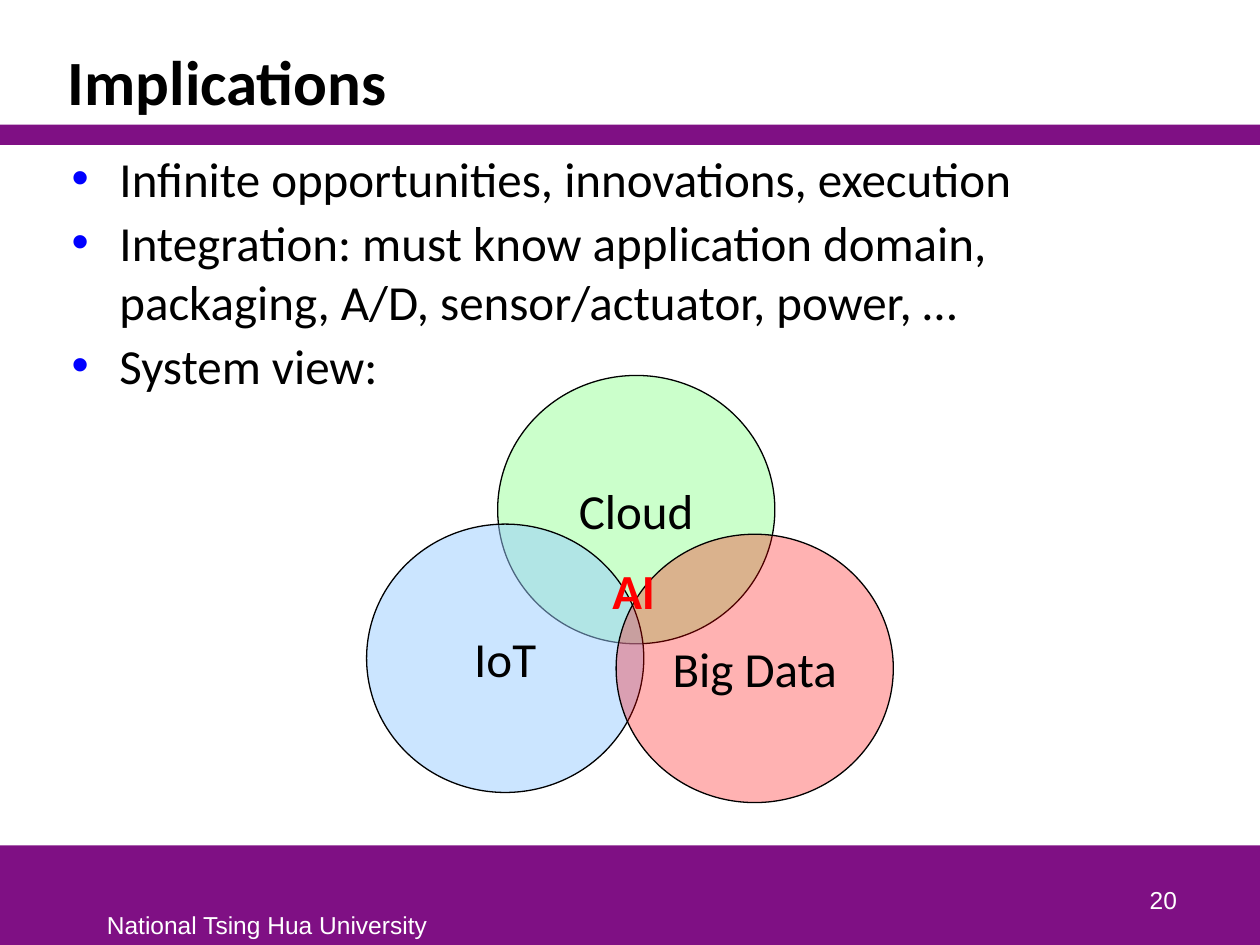
from lxml import etree
from pptx import Presentation
from pptx.dml.color import RGBColor
from pptx.enum.shapes import MSO_SHAPE as SHAPE
from pptx.enum.text import MSO_ANCHOR as ANCHOR, PP_ALIGN as ALIGN
from pptx.oxml.ns import qn
from pptx.util import Inches, Pt

PURPLE = RGBColor(0x7F, 0x10, 0x84)
WHITE = RGBColor(0xFF, 0xFF, 0xFF)
BLACK = RGBColor(0, 0, 0)
RED = RGBColor(0xFF, 0, 0)
BLUE = RGBColor(0, 0, 0xFF)
GREEN = RGBColor(0x99, 0xFF, 0x99)
SKY = RGBColor(0x99, 0xCC, 0xFF)


def write(tf, text, size=28, font="Calibri", color=BLACK, bold=False,
          align=ALIGN.LEFT, anchor=ANCHOR.TOP, wrap=True, spacing=None):
    tf.word_wrap = wrap
    tf.vertical_anchor = anchor
    for i, line in enumerate(text.split("\n")):
        p = tf.paragraphs[0] if i == 0 else tf.add_paragraph()
        p.alignment = align
        p.line_spacing = spacing
        r = p.add_run()
        r.text = line
        r.font.size = Pt(size)
        r.font.name = font
        r.font.bold = bold
        r.font.color.rgb = color


def add_text(shapes, box, text, **style):
    tf = shapes.add_textbox(*map(Inches, box)).text_frame
    write(tf, text, **style)
    return tf


def add_filled(shapes, kind, box, color):
    s = shapes.add_shape(kind, *map(Inches, box))
    s.shadow.inherit = False
    s.fill.solid()
    s.fill.fore_color.rgb = color
    s.line.fill.background()
    return s


def add_bullet(p):
    p.space_before = Pt(3)
    pPr = p._p.get_or_add_pPr()
    pPr.set("marL", str(Inches(0.38)))
    pPr.set("indent", str(-Inches(0.38)))
    clr = etree.SubElement(pPr, qn("a:buClr"))
    etree.SubElement(clr, qn("a:srgbClr"), val=str(BLUE))
    etree.SubElement(pPr, qn("a:buFont"), typeface="Arial")
    etree.SubElement(pPr, qn("a:buChar"), char="•")


def add_header(shapes, x, y, w, h):
    add_filled(shapes, SHAPE.RECTANGLE, (x, y + h - 0.16, w, 0.16), PURPLE)
    add_text(shapes, (x + 0.44, y, w - 0.88, h - 0.16), "Implications", size=36,
             bold=True, anchor=ANCHOR.BOTTOM, spacing=0.85)


def add_body(shapes, *box):
    tf = add_text(shapes, box,
                  "Infinite opportunities, innovations, execution\n"
                  "Integration: must know application domain, packaging, A/D, "
                  "sensor/actuator, power, …\n"
                  "System view:")
    for p in tf.paragraphs:
        add_bullet(p)


def add_venn(shapes, x, y, w, h):
    group = shapes.add_group_shape().shapes
    cw, ch = 2.2, 2.13
    circles = [
        ("Cloud", x + 1.04, y, GREEN, 50),
        ("IoT", x, y + 1.18, SKY, 50),
        ("Big Data", x + w - cw, y + h - ch, RED, 30),
    ]
    for label, left, top, color, opacity in circles:
        s = add_filled(group, SHAPE.OVAL, (left, top, cw, ch), color)
        clr = s.fill._xPr.find(qn("a:solidFill"))[0]
        etree.SubElement(clr, qn("a:alpha"), val=str(opacity * 1000))
        s.line.color.rgb = BLACK
        s.line.width = Pt(0.75)
        tf = s.text_frame
        tf.margin_left = tf.margin_right = tf.margin_top = tf.margin_bottom = 0
        write(tf, label, align=ALIGN.CENTER, anchor=ANCHOR.MIDDLE)
    add_text(group, (x + 1.67, y + 1.42, 0.9, 0.57), "AI", color=RED, bold=True,
             align=ALIGN.CENTER)


def add_footer(shapes, x, y, w, h):
    add_filled(shapes, SHAPE.RECTANGLE, (x, y, w, h), PURPLE)
    style = dict(size=14, font="Arial", color=WHITE)
    add_text(shapes, (x + 0.75, y + 0.46, 2.76, 0.33),
             "National Tsing Hua University", wrap=False, **style)
    add_text(shapes, (x + w - 2.64, y + 0.1, 2.08, 0.5), "20",
             align=ALIGN.RIGHT, anchor=ANCHOR.BOTTOM, **style)


def main():
    prs = Presentation()
    prs.slide_width, prs.slide_height = Inches(10), Inches(7.5)
    shapes = prs.slides.add_slide(prs.slide_layouts[6]).shapes
    add_footer(shapes, 0, 6.71, 10, 0.79)
    add_header(shapes, 0, 0.25, 10, 0.9)
    add_body(shapes, 0.47, 1.13, 9.1, 5.53)
    add_venn(shapes, 2.91, 2.98, 4.18, 3.39)
    prs.save("out.pptx")


if __name__ == "__main__":
    main()
